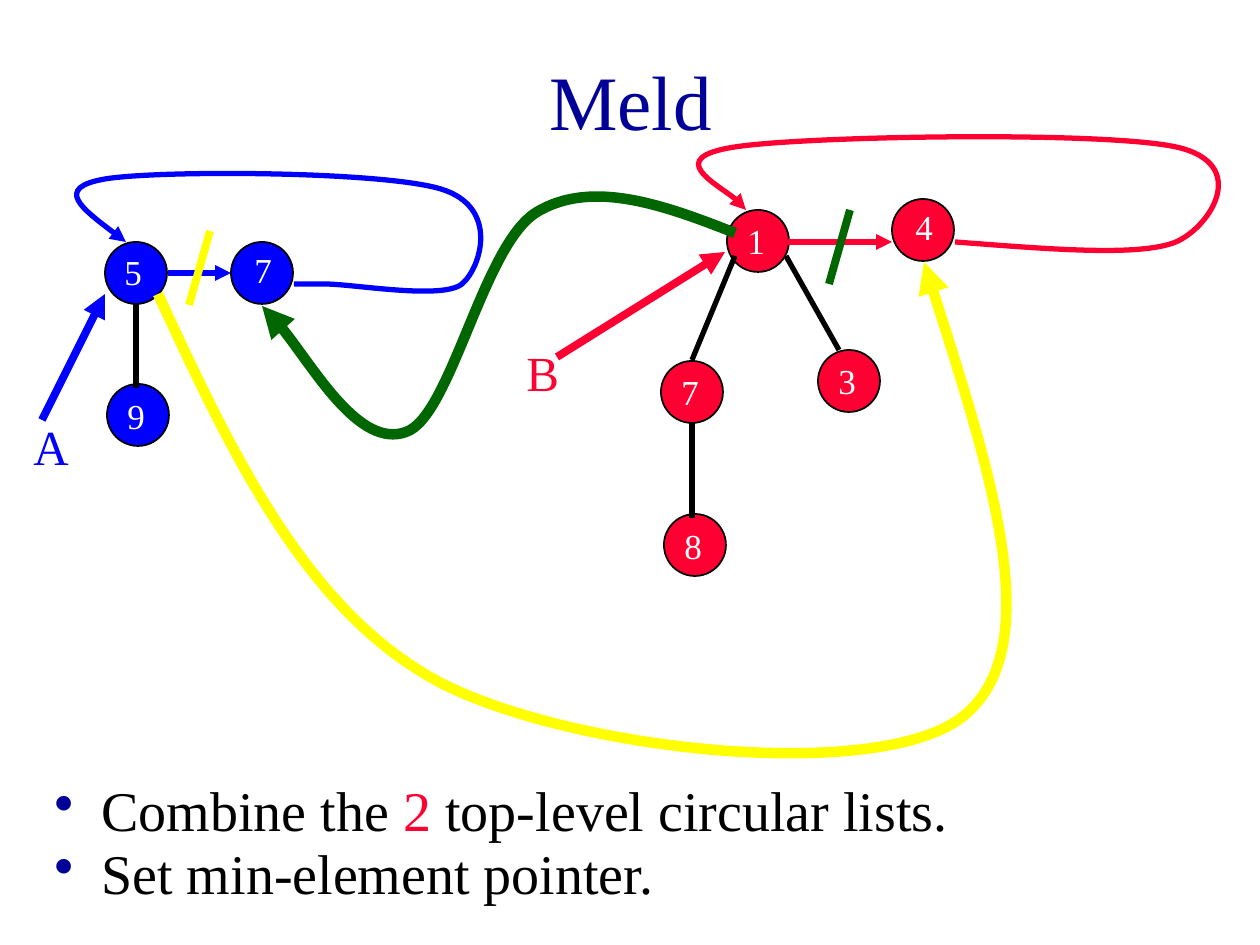
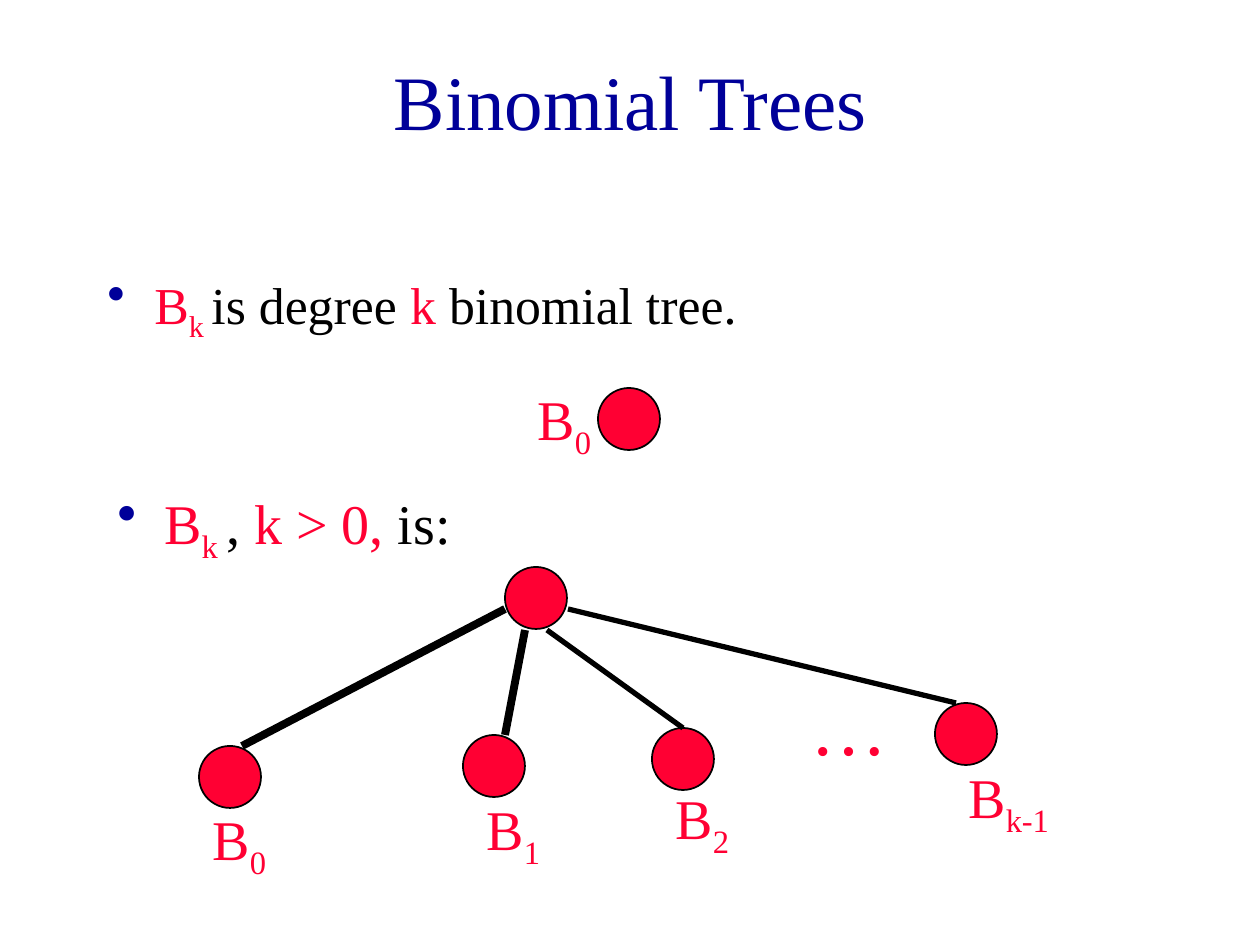
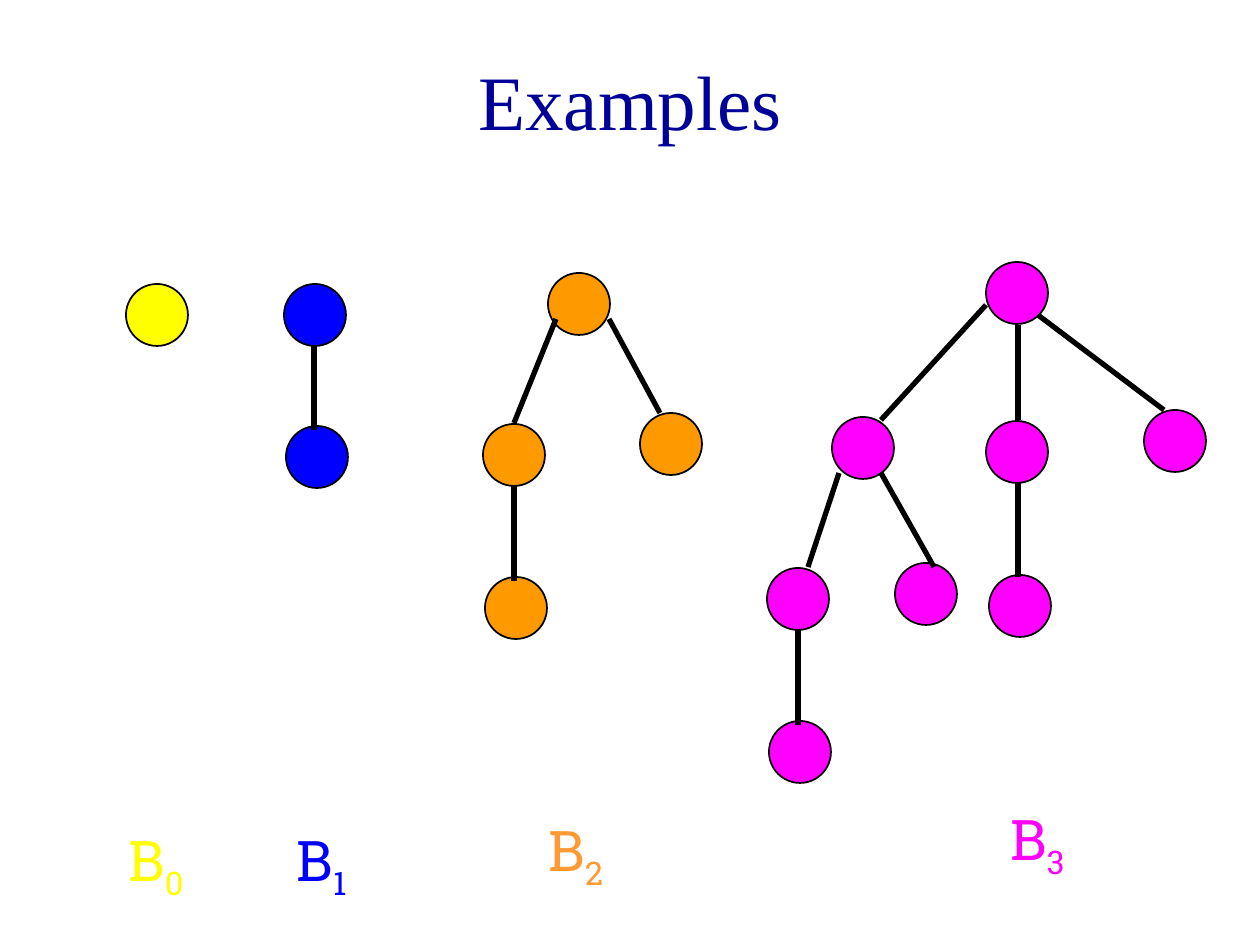
from dataclasses import dataclass

from lxml import etree
from pptx import Presentation
from pptx.dml.color import RGBColor
from pptx.enum.shapes import MSO_CONNECTOR, MSO_SHAPE
from pptx.enum.text import MSO_ANCHOR, PP_ALIGN
from pptx.oxml.ns import qn
from pptx.util import Pt

STRAIGHT, ELLIPSE = MSO_CONNECTOR.STRAIGHT, MSO_SHAPE.OVAL
LEFT, CENTER = PP_ALIGN.LEFT, PP_ALIGN.CENTER
TOP, MIDDLE = MSO_ANCHOR.TOP, MSO_ANCHOR.MIDDLE


@dataclass(frozen=True)
class Theme:
    # colours
    navy: str = "000099"
    black: str = "000000"
    white: str = "FFFFFF"
    red: str = "FF0033"
    blue: str = "0000FF"
    yellow: str = "FFFF00"
    green: str = "006600"
    orange: str = "FF9900"
    light_orange: str = "FF9933"
    magenta: str = "FF00FF"
    # fonts and type sizes, in points
    serif: str = "Times New Roman"
    slab: str = "Roboto Slab"
    title: float = 44
    body: float = 32
    body_tight: float = 29.6
    pointer: float = 28
    digit: float = 20
    # line widths, in points
    outline: float = 1
    thin: float = 3
    thick: float = 4.5
    heavy: float = 6


T = Theme()
EMU_PER_PX = 914400 / 126
SLIDE_SIZE = (1260, 945)
TITLE_BOX = (95, 21, 1071, 158)
BULLET_SIZE = (1071, 73)
BULLET_INDENT = 47
NODE = 62
DIGIT_SIZE = (43, 54)
TREE_LABEL_HEIGHT = 89


def tree_name(index, color=T.red):
    """Runs for B with a subscript: (text, colour, is subscript)."""
    return [("B", color, False), (index, color, True)]


# ---- Content: Meld ----
# Bullets: position, runs, size, line spacing
MELD_BULLETS = [
    ((42, 777), [("Combine the ", T.black, False), ("2", T.red, False),
                 (" top-level circular lists.", T.black, False)], T.body, 0.9),
    ((42, 840), [("Set min-element pointer.", T.black, False)], T.body, 0.9),
]
# Each heap: nodes as (digit, position, digit offset), then its lines and curve
HEAPS = [
    dict(color=T.blue,
         nodes=[("5", (105, 242), (7, 2)), ("9", (107, 384), (8, 4)),
                ("7", (231, 242), (11, 0))],
         edges=[((136, 304), (136, 388))],
         link=((168, 273), (231, 273)),
         loop=[(294, 284), (296, 284), (297, 284), (325, 284),
               (354, 284), (442, 300), (462, 284),
               (481, 268), (500, 207), (441, 189),
               (382, 171), (158, 170), (105, 179),
               (53, 188), (89, 214), (126, 242)],
         pointer=((42, 420), (105, 294)), name="A", name_at=(21, 410)),
    dict(color=T.red,
         nodes=[("4", (892, 199), (11, 0)), ("1", (727, 210), (8, 3)),
                ("7", (661, 361), (8, 3)), ("3", (818, 350), (8, 3)),
                ("8", (664, 514), (8, 4))],
         edges=[((692, 423), (692, 518)), ((735, 256), (692, 360)),
                ((786, 256), (839, 350))],
         link=((788, 242), (892, 242)),
         loop=[(955, 242), (1047, 249), (1139, 257), (1176, 242),
               (1212, 226), (1250, 163), (1176, 147),
               (1103, 131), (806, 136), (735, 147),
               (663, 158), (743, 199), (746, 210)],
         pointer=((557, 357), (725, 252)), name="B", name_at=(514, 336)),
]
# New links between the lists, and the strokes that cut the old ones
NEW_LINKS = [
    (T.yellow, [(158, 294), (232, 454), (306, 612), (441, 683),
                (576, 752), (886, 784), (966, 714),
                (1047, 644), (985, 454), (924, 262)]),
    (T.green, [(735, 233), (664, 205), (592, 179), (537, 212),
               (483, 244), (451, 417), (406, 432),
               (359, 449), (289, 328), (262, 306)]),
]
CUTS = [(T.yellow, (210, 231), (189, 305)), (T.green, (850, 210), (829, 284))]

# ---- Content: Binomial Trees ----
DEFINITIONS = [
    ((95, 273), tree_name("k ") + [("is degree ", T.black, False), ("k", T.red, False),
                                   (" binomial tree.", T.black, False)], T.body_tight, 0.8),
    ((105, 483), tree_name("k ") + [(", ", T.black, False), ("k > 0, ", T.red, False),
                                    ("is:", T.black, False)], T.body, 0.9),
]
DEFINITION_NODES = [(598, 388), (505, 567), (652, 728), (935, 703), (199, 746), (463, 735)]
DEFINITION_EDGES = [
    ((547, 630), (683, 728), T.thin), ((568, 609), (956, 703), T.thin),
    ((525, 630), (505, 735), T.thick), ((505, 609), (242, 746), T.thick),
]
# Subtree labels: index, left, top, width
SUBTREE_LABELS = [("0", 525, 378, 95), ("0", 200, 798, 115), ("1", 474, 788, 84),
                  ("2", 663, 777, 84), ("k-1", 956, 756, 136)]
ELLIPSIS_BOX = (798, 672, 95, 106)

# ---- Content: Examples ----
EXAMPLES = [
    dict(index="0", color=T.yellow, label_color=T.yellow, label=(116, 819, 105),
         nodes=[(126, 284)], edges=[]),
    dict(index="1", color=T.blue, label_color=T.blue, label=(284, 819, 105),
         nodes=[(284, 284), (286, 426)], edges=[((314, 345), (314, 430))]),
    dict(index="2", color=T.orange, label_color=T.light_orange, label=(536, 809, 105),
         nodes=[(548, 273), (483, 424), (640, 413), (485, 577)],
         edges=[((514, 486), (514, 581)), ((556, 319), (514, 423)),
                ((609, 319), (660, 413))]),
    dict(index="3", color=T.magenta, label_color=T.magenta, label=(998, 798, 116),
         nodes=[(986, 262), (986, 421), (1144, 410), (989, 575),
                (832, 417), (767, 568), (895, 563), (769, 721)],
         edges=[((1018, 483), (1018, 577)), ((1018, 325), (1018, 420)),
                ((1038, 315), (1164, 410)), ((798, 630), (798, 725)),
                ((839, 473), (808, 567)), ((881, 473), (934, 567)),
                ((986, 305), (881, 420))]),
]


# ---- Drawing helpers ----
def emu(*lengths):
    return [round(length * EMU_PER_PX) for length in lengths]


def add_bullet(paragraph):
    (indent,) = emu(BULLET_INDENT)
    props = paragraph._p.get_or_add_pPr()
    props.set("marL", str(indent))
    props.set("indent", str(-indent))
    bullet_color = etree.SubElement(props, qn("a:buClr"))
    etree.SubElement(bullet_color, qn("a:srgbClr")).set("val", T.navy)
    etree.SubElement(props, qn("a:buChar")).set("char", "•")


def add_text(slide, box, runs, *, size, font=T.serif, align=LEFT, anchor=TOP,
             wrap=True, bullet=False, spacing=None):
    frame = slide.shapes.add_textbox(*emu(*box)).text_frame
    frame.word_wrap = wrap
    frame.vertical_anchor = anchor
    paragraph = frame.paragraphs[0]
    if bullet:
        add_bullet(paragraph)
    paragraph.alignment = align
    paragraph.line_spacing = spacing
    paragraph.font.size = Pt(size)
    for text, color, subscript in runs:
        run = paragraph.add_run()
        run.text = text
        run.font.size = Pt(size)
        run.font.name = font
        run.font.color.rgb = RGBColor.from_string(color)
        if subscript:
            run._r.get_or_add_rPr().set("baseline", "-25000")


def style_line(shape, color, width, arrow=False):
    shape.line.color.rgb = RGBColor.from_string(color)
    shape.line.width = Pt(width)
    if arrow:
        outline = shape._element.spPr.find(qn("a:ln"))
        etree.SubElement(outline, qn("a:tailEnd")).set("type", "triangle")


def add_line(slide, start, end, color=T.black, width=T.thin, arrow=False):
    line = slide.shapes.add_connector(STRAIGHT, *emu(*start, *end))
    style_line(line, color, width, arrow)
    etree.SubElement(line._element.spPr, qn("a:effectLst"))


def add_curve(slide, points, color, width):
    """Arrow along Bezier segments: a start, then three points for each segment."""
    start, *controls = [emu(*point) for point in points]
    builder = slide.shapes.build_freeform(*start)
    builder.add_line_segments(controls, close=False)
    curve = builder.convert_to_shape()
    segments = list(curve._element.iter(qn("a:lnTo")))
    outline = segments[0].getparent()
    for first in range(0, len(segments), 3):
        bezier = etree.SubElement(outline, qn("a:cubicBezTo"))
        for segment in segments[first:first + 3]:
            bezier.append(segment[0])
            outline.remove(segment)
    curve.shadow.inherit = False
    curve.fill.background()
    style_line(curve, color, width, arrow=True)


def add_node(slide, position, color):
    node = slide.shapes.add_shape(ELLIPSE, *emu(*position, NODE, NODE))
    node.shadow.inherit = False
    node.fill.solid()
    node.fill.fore_color.rgb = RGBColor.from_string(color)
    style_line(node, T.black, T.outline)


def add_tree_label(slide, index, box, color=T.red, font=T.serif):
    add_text(slide, (*box, TREE_LABEL_HEIGHT), tree_name(index, color),
             size=T.body, font=font)


def add_bullets(slide, bullets):
    for position, runs, size, spacing in bullets:
        add_text(slide, (*position, *BULLET_SIZE), runs, size=size,
                 bullet=True, spacing=spacing)


def add_slide(deck, title):
    slide = deck.slides.add_slide(deck.slide_layouts[6])
    add_text(slide, TITLE_BOX, [(title, T.navy, False)], size=T.title,
             align=CENTER, anchor=MIDDLE)
    return slide


# ---- Slides ----
def build_meld(deck):
    slide = add_slide(deck, "Meld")
    for heap in HEAPS:
        color = heap["color"]
        for digit, (x, y), (dx, dy) in heap["nodes"]:
            add_node(slide, (x, y), color)
            add_text(slide, (x + dx, y + dy, *DIGIT_SIZE), [(digit, T.white, False)],
                     size=T.digit, wrap=False)
        for start, end in heap["edges"]:
            add_line(slide, start, end)
        add_line(slide, *heap["link"], color, arrow=True)
        add_curve(slide, heap["loop"], color, T.thin)
        add_line(slide, *heap["pointer"], color, T.thick, arrow=True)
        add_text(slide, (*heap["name_at"], 95, 72), [(heap["name"], color, False)],
                 size=T.pointer)
    for color, points in NEW_LINKS:
        add_curve(slide, points, color, T.heavy)
    for color, start, end in CUTS:
        add_line(slide, start, end, color, T.thick)
    add_bullets(slide, MELD_BULLETS)


def build_definition(deck):
    slide = add_slide(deck, "Binomial Trees")
    add_bullets(slide, DEFINITIONS)
    for position in DEFINITION_NODES:
        add_node(slide, position, T.red)
    for start, end, width in DEFINITION_EDGES:
        add_line(slide, start, end, width=width)
    add_text(slide, ELLIPSIS_BOX, [("…", T.red, False)], size=T.title)
    for index, *box in SUBTREE_LABELS:
        add_tree_label(slide, index, box)


def build_examples(deck):
    slide = add_slide(deck, "Examples")
    for tree in EXAMPLES:
        for position in tree["nodes"]:
            add_node(slide, position, tree["color"])
        for start, end in tree["edges"]:
            add_line(slide, start, end)
        add_tree_label(slide, tree["index"], tree["label"], tree["label_color"], T.slab)


def main():
    deck = Presentation()
    deck.slide_width, deck.slide_height = emu(*SLIDE_SIZE)
    build_meld(deck)
    build_definition(deck)
    build_examples(deck)
    deck.save("out.pptx")


if __name__ == "__main__":
    main()
